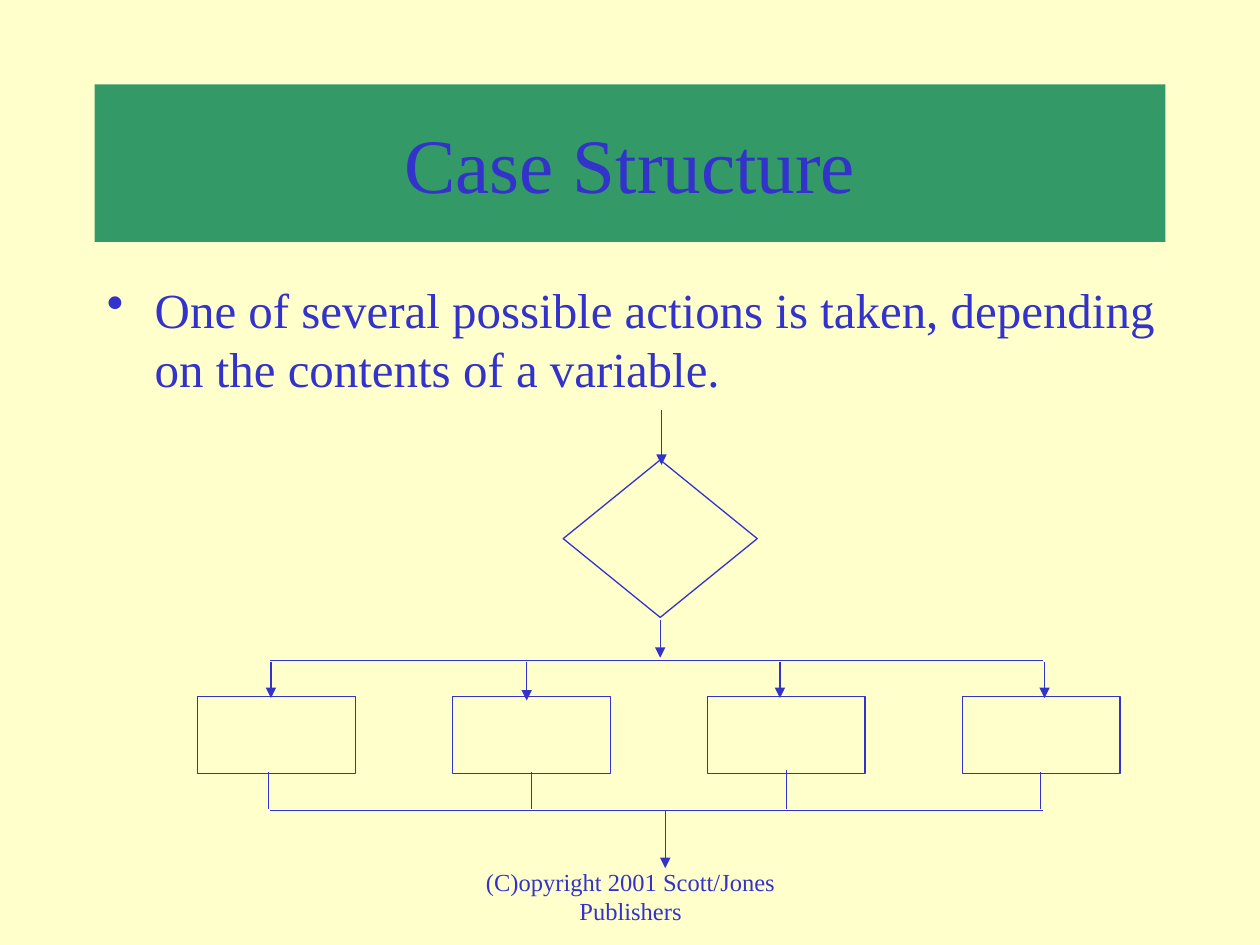
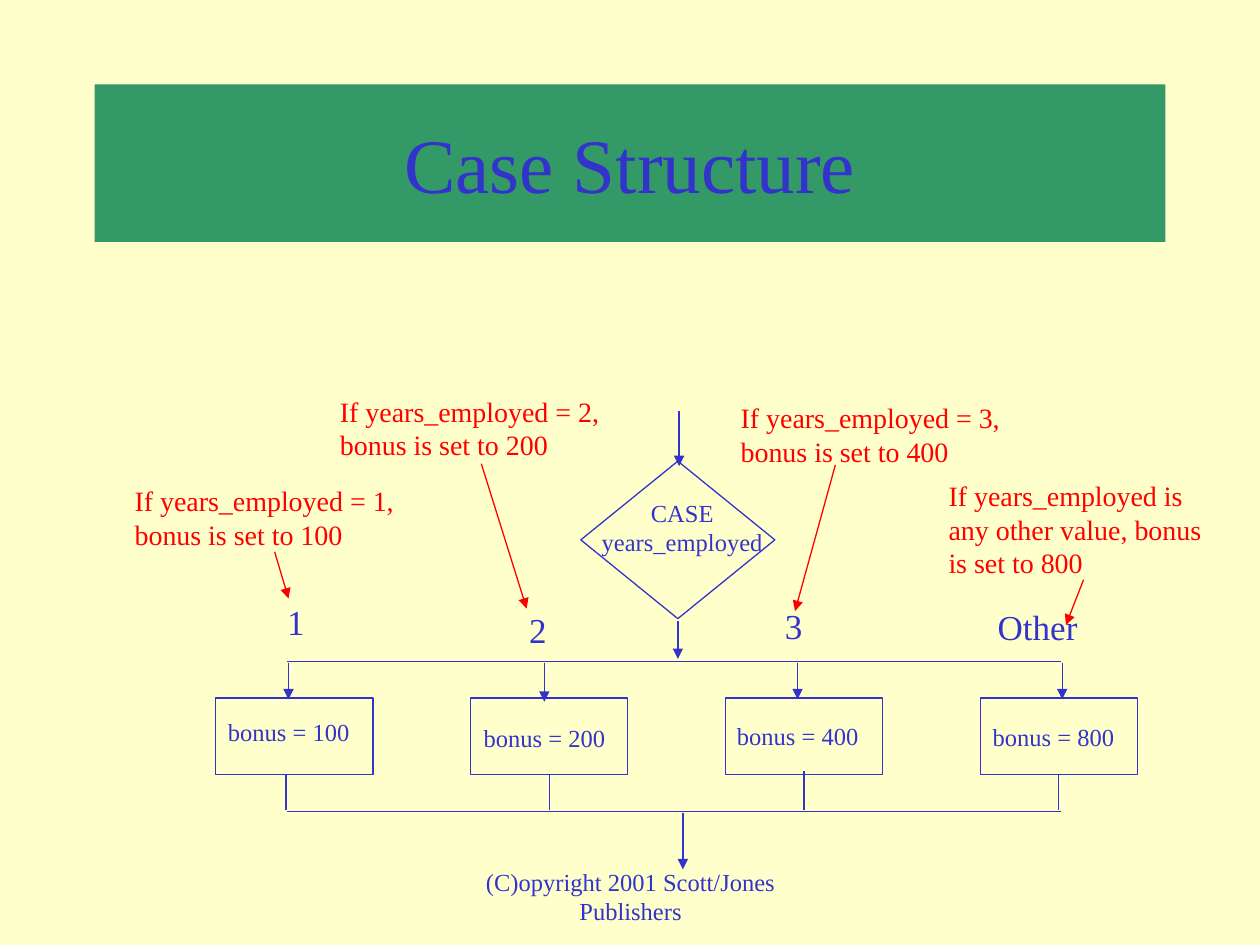
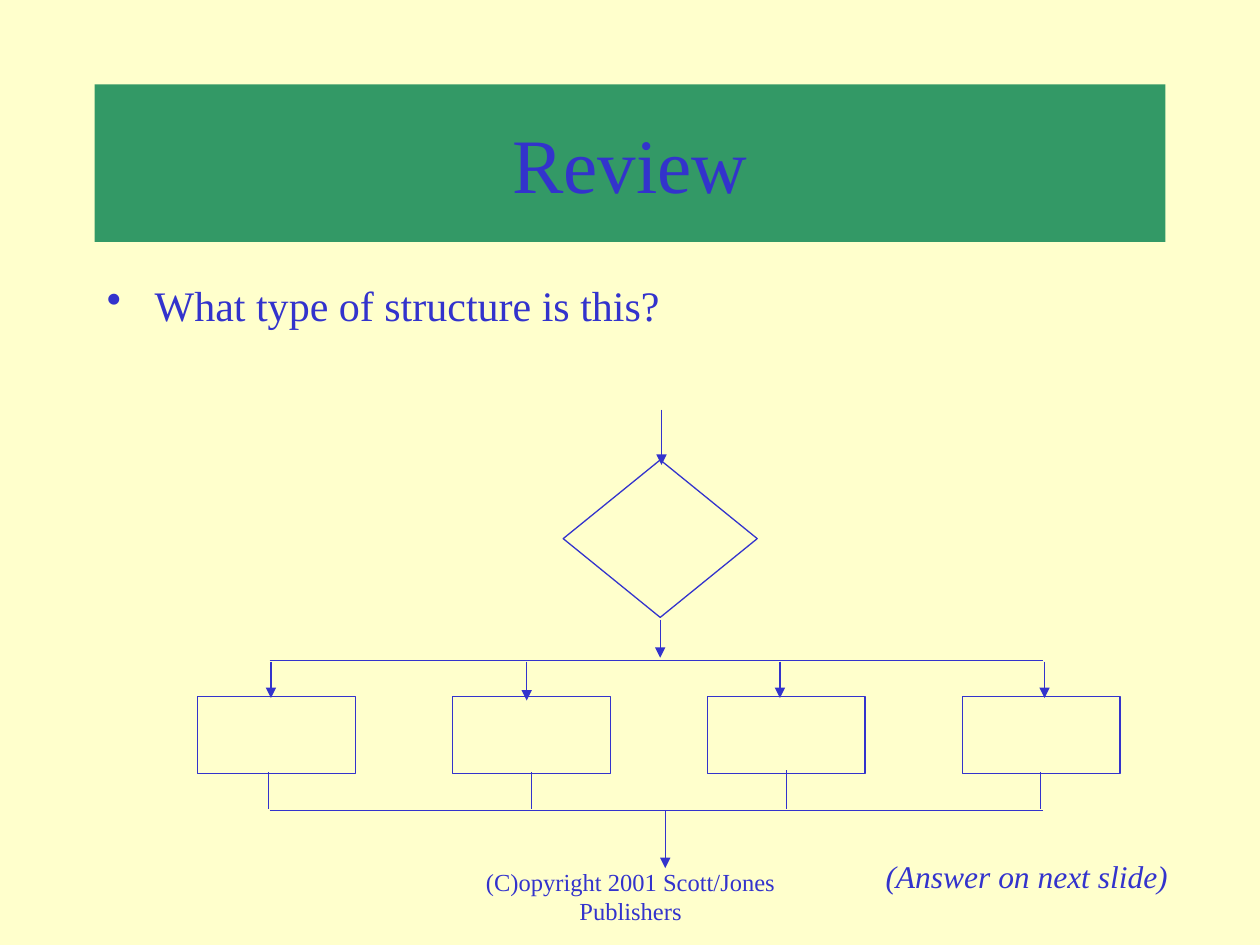
"""Build three slides on the case structure with one shared flowchart."""
import pptx
import pptx.dml.color
import pptx.enum.shapes
import pptx.enum.text
import pptx.oxml.ns
import pptx.util
from lxml import etree

Inches = pptx.util.Inches
Pt = pptx.util.Pt
SHAPE = pptx.enum.shapes.MSO_SHAPE
ALIGN = pptx.enum.text.PP_ALIGN
ANCHOR = pptx.enum.text.MSO_ANCHOR
qn = pptx.oxml.ns.qn

COLORS = {"page": "FFFFCC", "band": "339966", "ink": "3333CC", "note": "FF0000"}
FONT = "Times New Roman"
TITLE_BOX = (0.75, 0.67, 8.5, 1.25)
FOOTER = "(C)opyright 2001 Scott/Jones Publishers"
FOOTER_BOX = (3.42, 6.83, 3.17, 0.5)

SLIDES = [
    {"title": "Case Structure", "shift": (0, 0), "size": 28,
     "bullet": "One of several possible actions is taken, depending on the contents of a variable."},
    {"title": "Case Structure", "shift": (0.14, 0.01), "cases": True},
    {"title": "Review", "shift": (0, 0), "size": 24,
     "bullet": "What type of structure is this?",
     "hint": "(Answer on next slide)"},
]

BOX_LEFT, BOX_STEP, BOX_TOP, BOX_SIZE = 1.57, 2.023, 5.53, (1.25, 0.61)
DIAMOND = (4.47, 3.65, 1.54, 1.25)
RAIL_LEFT, RAIL_RIGHT, RAIL_TOP, RAIL_BOTTOM = 2.14, 8.28, 5.24, 6.43
TRUNK_ARROWS = [(5.25, 3.25, 3.69), (5.24, 4.92, 5.22), (5.28, 6.44, 6.89)]
BRANCH_ARROWS = [(2.15, 5.54), (4.18, 5.56), (6.19, 5.54), (8.29, 5.54)]
BRANCH_EXITS = [(2.13, 6.13), (4.22, 6.13), (6.24, 6.11), (8.26, 6.13)]

DECISION = ("CASE\vyears_employed", (4.4, 3.9, 2.03, 0.57))
CASES = [
    {"label": ("1", (2.18, 4.72, 0.35, 0.44)),
     "action": ("bonus = 100", (1.71, 5.64, 1.25, 0.34)),
     "note": ("If years_employed = 1, bonus is set to 100", (0.97, 3.79, 2.33, 0.64)),
     "pointer": (2.18, 4.38, 2.29, 4.75)},
    {"label": ("2", (4.1, 4.78, 0.35, 0.44)),
     "action": ("bonus = 200", (3.74, 5.69, 1.25, 0.34)),
     "note": ("If years_employed = 2, bonus is set to 200", (2.6, 3.08, 2.33, 0.64)),
     "pointer": (3.82, 3.68, 4.18, 4.83)},
    {"label": ("3", (6.13, 4.75, 0.35, 0.44)),
     "action": ("bonus = 400", (5.75, 5.67, 1.25, 0.34)),
     "note": ("If years_employed = 3, bonus is set to 400", (5.78, 3.13, 2.33, 0.64)),
     "pointer": (6.63, 3.69, 6.31, 4.85)},
    {"label": ("Other", (7.82, 4.76, 1.04, 0.44)),
     "action": ("bonus = 800", (7.78, 5.68, 1.25, 0.34)),
     "note": ("If years_employed is any other value, bonus is set to 800",
              (7.43, 3.75, 2.33, 0.9)),
     "pointer": (8.6, 4.6, 8.46, 4.96)},
]


def rgb(name):
    return pptx.dml.color.RGBColor.from_string(COLORS[name])


def inches(values):
    return [Inches(v) for v in values]


def write(sp, text, size, color="ink", align=ALIGN.LEFT, anchor=ANCHOR.TOP,
          italic=False, bullet=False):
    tf = sp.text_frame
    tf.word_wrap = True
    tf.auto_size = pptx.enum.text.MSO_AUTO_SIZE.NONE
    tf.vertical_anchor = anchor
    p = tf.paragraphs[0]
    p.text = text
    p.alignment = align
    if bullet:
        pPr = p._p.get_or_add_pPr()
        pPr.set("marL", str(Inches(0.38)))
        pPr.set("indent", str(-Inches(0.38)))
        etree.SubElement(pPr, qn("a:buChar")).set("char", "•")
    for r in p.runs:
        r.font.name, r.font.size, r.font.italic = FONT, Pt(size), italic
        r.font.color.rgb = rgb(color)


def add_text(s, text, box, size, **style):
    write(s.shapes.add_textbox(*inches(box)), text, size, **style)


def add_line(s, x1, y1, x2, y2, color="ink", arrow=False):
    line = s.shapes.add_connector(pptx.enum.shapes.MSO_CONNECTOR.STRAIGHT,
                                  *inches((x1, y1, x2, y2)))
    line.line.color.rgb = rgb(color)
    line.line.width = Pt(0.75)
    if arrow:
        etree.SubElement(line.line._get_or_add_ln(), qn("a:tailEnd")).set("type", "triangle")
    etree.SubElement(line._element.spPr, qn("a:effectLst"))


def add_outline(s, kind, box):
    sp = s.shapes.add_shape(kind, *inches(box))
    sp.shadow.inherit = False
    sp.fill.background()
    sp.line.color.rgb = rgb("ink")
    sp.line.width = Pt(0.75)


def add_flowchart(s, dx, dy):
    def line(x1, y1, x2, y2, arrow=False):
        add_line(s, x1 + dx, y1 + dy, x2 + dx, y2 + dy, arrow=arrow)

    left, top, width, height = DIAMOND
    add_outline(s, SHAPE.FLOWCHART_DECISION, (left + dx, top + dy, width, height))
    for i in range(len(BRANCH_ARROWS)):
        add_outline(s, SHAPE.RECTANGLE,
                    (BOX_LEFT + i * BOX_STEP + dx, BOX_TOP + dy, *BOX_SIZE))
    for y in (RAIL_TOP, RAIL_BOTTOM):
        line(RAIL_LEFT, y, RAIL_RIGHT, y)
    for x, start, end in TRUNK_ARROWS:
        line(x, start, x, end, arrow=True)
    for x, end in BRANCH_ARROWS:
        line(x, RAIL_TOP + 0.01, x, end, arrow=True)
    for x, start in BRANCH_EXITS:
        line(x, RAIL_BOTTOM - 0.01, x, start)


def add_cases(s):
    add_text(s, *DECISION, 14, align=ALIGN.CENTER)
    for case in CASES:
        add_text(s, *case["label"], 20)
        add_text(s, *case["action"], 14)
        add_text(s, *case["note"], 16, color="note")
        add_line(s, *case["pointer"], color="note", arrow=True)


def add_title(s, text):
    sp = s.shapes.title
    sp.left, sp.top, sp.width, sp.height = inches(TITLE_BOX)
    sp.fill.solid()
    sp.fill.fore_color.rgb = rgb("band")
    write(sp, text, 44, align=ALIGN.CENTER, anchor=ANCHOR.MIDDLE)


def main():
    prs = pptx.Presentation()
    prs.slide_width, prs.slide_height = Inches(10), Inches(7.5)
    fill = prs.slide_master.background.fill
    fill.solid()
    fill.fore_color.rgb = rgb("page")
    for content in SLIDES:
        s = prs.slides.add_slide(prs.slide_layouts[5])
        add_title(s, content["title"])
        if "bullet" in content:
            add_text(s, content["bullet"], (0.75, 2.17, 8.76, 4.5), content["size"], bullet=True)
        add_flowchart(s, *content["shift"])
        if "cases" in content:
            add_cases(s)
        if "hint" in content:
            add_text(s, content["hint"], (6.93, 6.75, 2.6, 0.4), 18, italic=True)
        add_text(s, FOOTER, FOOTER_BOX, 14, align=ALIGN.CENTER)
    prs.save("out.pptx")


if __name__ == "__main__":
    main()
